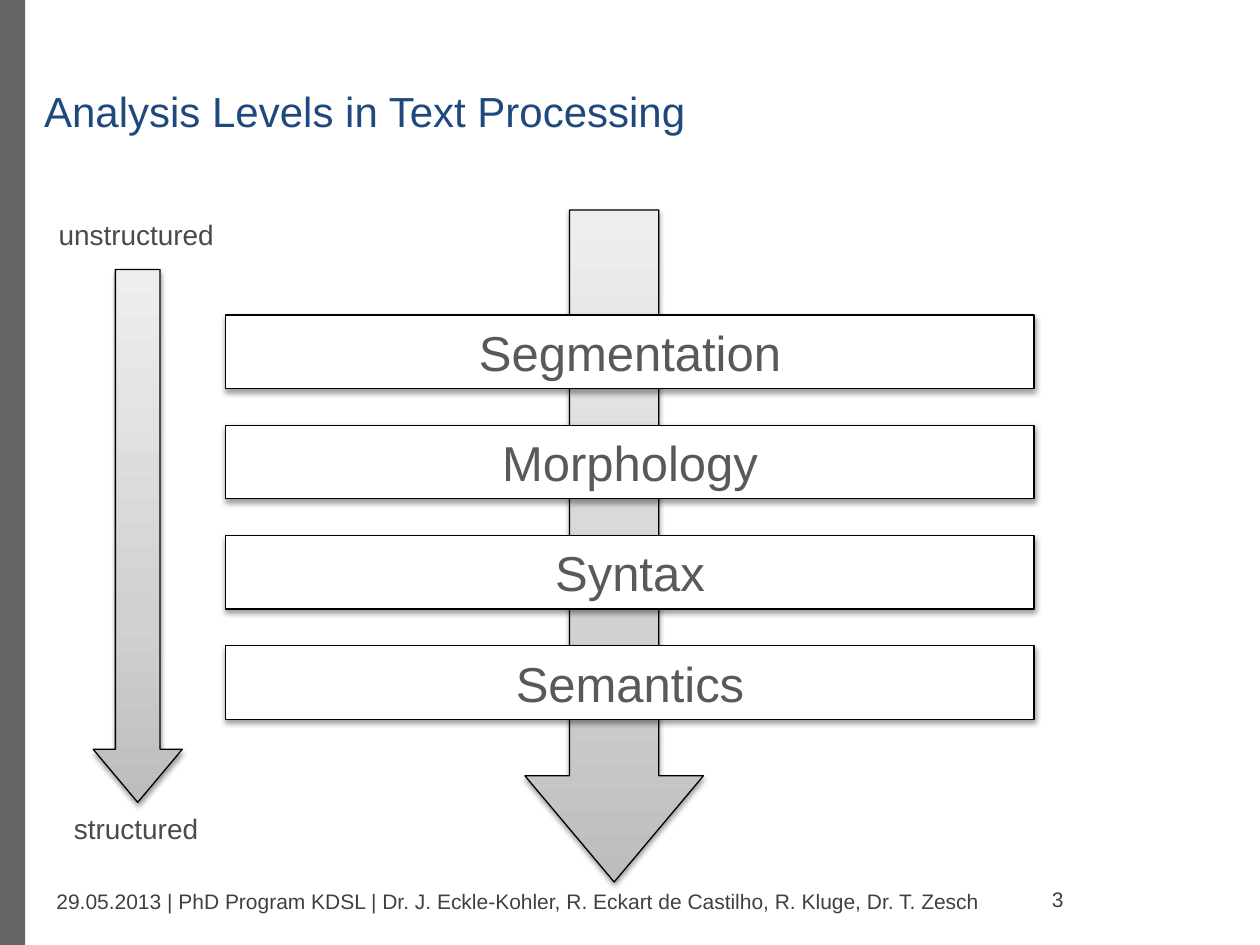
from copy import deepcopy

from lxml import etree
from pptx import Presentation
from pptx.dml.color import RGBColor
from pptx.enum.shapes import MSO_SHAPE
from pptx.enum.text import MSO_ANCHOR, MSO_AUTO_SIZE, PP_ALIGN
from pptx.oxml import parse_xml
from pptx.oxml.ns import nsdecls, qn
from pptx.util import Pt

RECTANGLE, DOWN_ARROW = MSO_SHAPE.RECTANGLE, MSO_SHAPE.DOWN_ARROW
TOP, MIDDLE = MSO_ANCHOR.TOP, MSO_ANCHOR.MIDDLE
LEFT, CENTER = PP_ALIGN.LEFT, PP_ALIGN.CENTER
NO_AUTOFIT, GROW = MSO_AUTO_SIZE.NONE, MSO_AUTO_SIZE.SHAPE_TO_FIT_TEXT

FONT = "Arial"
BLACK = RGBColor(0x00, 0x00, 0x00)
WHITE = RGBColor(0xFF, 0xFF, 0xFF)
BAR_GRAY = RGBColor(0x66, 0x66, 0x66)
TITLE_BLUE = RGBColor(0x1F, 0x49, 0x7D)
LEVEL_GRAY = RGBColor(0x59, 0x59, 0x59)
LABEL_GRAY = RGBColor(0x4A, 0x4A, 0x4A)
FOOTER_GRAY = RGBColor(0x40, 0x40, 0x40)
ARROW_STOPS = [
    (0, RGBColor(0xBD, 0xBD, 0xBD)),
    (0.35, RGBColor(0xD1, 0xD1, 0xD1)),
    (1, RGBColor(0xEE, 0xEE, 0xEE)),
]
SHADOW = (
    f'<a:outerShdw {nsdecls("a")} blurRad="{Pt(3.1)}" dist="{Pt(1.6)}" dir="5400000" rotWithShape="0">'
    '<a:srgbClr val="000000"><a:alpha val="38000"/></a:srgbClr></a:outerShdw>'
)


def write(shape, text, size, color, alignment=LEFT, anchor=MIDDLE):
    text_frame = shape.text_frame
    text_frame.text = text
    text_frame.vertical_anchor = anchor
    paragraph = text_frame.paragraphs[0]
    paragraph.alignment = alignment
    font = paragraph.runs[0].font
    font.name, font.size, font.color.rgb = FONT, Pt(size), color


def add_outlined(slide, kind, left, top, width, height):
    shape = slide.shapes.add_shape(kind, Pt(left), Pt(top), Pt(width), Pt(height))
    shape.line.color.rgb = BLACK
    shape.line.width = Pt(0.75)
    shape.shadow.inherit = False
    shape._element.spPr.find(qn("a:effectLst")).append(parse_xml(SHADOW))
    return shape


presentation = Presentation()
presentation.slide_width, presentation.slide_height = Pt(720), Pt(540)
slide = presentation.slides.add_slide(presentation.slide_layouts[5])

bar = slide.shapes.add_shape(RECTANGLE, 0, 0, Pt(14.4), Pt(540))
bar.fill.solid()
bar.fill.fore_color.rgb = BAR_GRAY
bar.line.fill.background()
bar.shadow.inherit = False

title = slide.shapes.title
title.left, title.top, title.width, title.height = Pt(25.2), Pt(49), Pt(686), Pt(54)
write(title, "Analysis Levels in Text Processing", 24, TITLE_BLUE, anchor=TOP)
frame = title.text_frame
frame.auto_size = NO_AUTOFIT
frame.margin_left = frame.margin_top = frame.margin_right = frame.margin_bottom = 0

for left, top, width, height in [(300, 120, 102, 384), (53.2, 154, 51, 304.5)]:
    arrow = add_outlined(slide, DOWN_ARROW, left, top, width, height)
    arrow.adjustments[0], arrow.adjustments[1] = 0.5, 0.595
    arrow.fill.gradient()
    arrow.fill.gradient_angle = 90
    stop_list = arrow._element.spPr.find(".//" + qn("a:gsLst"))
    stop_list.insert(1, deepcopy(stop_list[0]))
    for stop, (position, color) in zip(arrow.fill.gradient_stops, ARROW_STOPS):
        stop.position = position
        stop.color.rgb = color

for index, level in enumerate(["Segmentation", "Morphology", "Syntax", "Semantics"]):
    box = add_outlined(slide, RECTANGLE, 129, 180 + 63 * index, 462, 42)
    box.fill.solid()
    box.fill.fore_color.rgb = WHITE
    write(box, level, 28, LEVEL_GRAY, CENTER)

for text, left, top, width in [("unstructured", 26.4, 120.5, 104.4), ("structured", 35.2, 460, 86.4)]:
    label = slide.shapes.add_textbox(Pt(left), Pt(top), Pt(width), Pt(26.6))
    write(label, text, 16, LABEL_GRAY, anchor=TOP)
    label.text_frame.word_wrap = False
    label.text_frame.auto_size = GROW

FOOTER = "29.05.2013 | PhD Program KDSL | Dr. J. Eckle-Kohler, R. Eckart de Castilho, R. Kluge, Dr. T. Zesch"
for text, left, top, width in [(FOOTER, 25.2, 500.4, 561.6), ("3", 594, 499.7, 50.4)]:
    footer = slide.shapes.add_textbox(Pt(left), Pt(top), Pt(width), Pt(28.8))
    write(footer, text, 12, FOOTER_GRAY)
    footer.text_frame.word_wrap = True

presentation.save("out.pptx")
